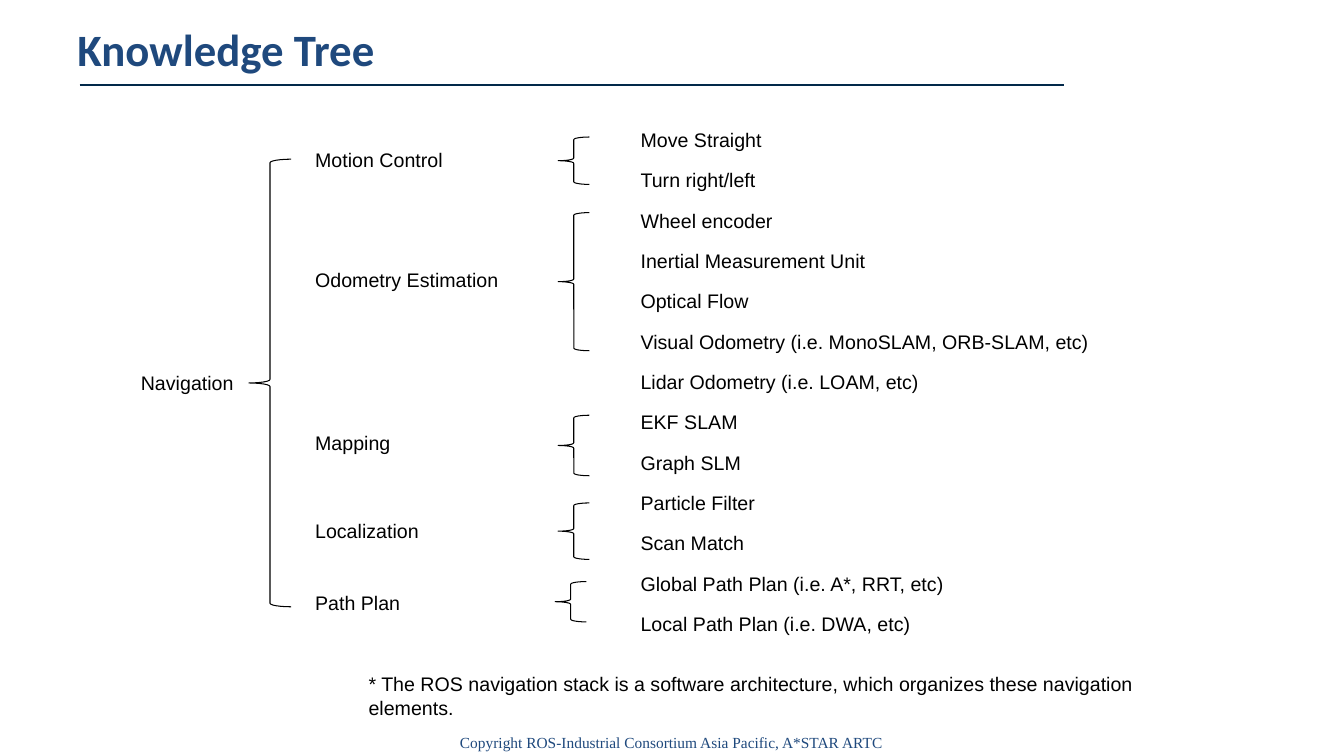
from pptx import Presentation
from pptx import util as u
from pptx.dml.color import RGBColor
from pptx.enum import shapes, text
from pptx.oxml.ns import qn
from lxml import etree

BLACK = RGBColor(0x00, 0x00, 0x00)
BLUE = RGBColor(0x1F, 0x49, 0x7D)
NAVY = RGBColor(0x02, 0x29, 0x4A)

TOPICS = [
    ("Motion Control", 1.42, 2.1),
    ("Odometry Estimation", 2.61, 2.1),
    ("Mapping", 4.23, 1.04),
    ("Localization", 5.1, 1.26),
    ("Path Plan", 5.81, 1.06),
]
METHODS = [
    "Move Straight",
    "Turn right/left",
    "Wheel encoder",
    "Inertial Measurement Unit",
    "Optical Flow",
    "Visual Odometry (i.e. MonoSLAM, ORB-SLAM, etc)",
    "Lidar Odometry (i.e. LOAM, etc)",
    "EKF SLAM",
    "Graph SLM",
    "Particle Filter",
    "Scan Match",
    "Global Path Plan (i.e. A*, RRT, etc)",
    "Local Path Plan (i.e. DWA, etc)",
]
BRACES = [
    (2.47, 1.58, 0.42, 4.44),
    (5.54, 1.36, 0.31, 0.47),
    (5.54, 2.11, 0.31, 1.37),
    (5.54, 4.12, 0.31, 0.6),
    (5.54, 4.99, 0.31, 0.56),
    (5.51, 5.77, 0.31, 0.4),
]
METHOD_TOP = 1.22
METHOD_STEP = 0.4
LABEL_HEIGHT = 0.33


def write_text(frame, content, size=14, font="Arial", color=BLACK, bold=False,
               align=text.PP_ALIGN.LEFT, spacing=1.0):
    paragraph = frame.paragraphs[0]
    paragraph.alignment = align
    paragraph.line_spacing = spacing
    run = paragraph.add_run()
    run.text = content
    run.font.size = u.Pt(size)
    run.font.name = font
    run.font.bold = bold
    run.font.color.rgb = color


class KnowledgeSlide:
    def __init__(self, slide, line_color=BLACK, line_width=0.75):
        self.slide = slide
        self.line_color = line_color
        self.line_width = line_width

    def label(self, content, left, top, width, height=LABEL_HEIGHT,
              anchor=text.MSO_ANCHOR.TOP, **style):
        box = self.slide.shapes.add_textbox(
            *map(u.Inches, (left, top, width, height)))
        box.text_frame.word_wrap = True
        box.text_frame.vertical_anchor = anchor
        write_text(box.text_frame, content, **style)

    def brace(self, left, top, width, height):
        shape = self.slide.shapes.add_shape(
            shapes.MSO_SHAPE.LEFT_BRACE,
            *map(u.Inches, (left, top, width, height)))
        shape.shadow.inherit = False
        shape.fill.background()
        shape.line.color.rgb = self.line_color
        shape.line.width = u.Pt(self.line_width)

    def rule(self, left, right, top, color, width):
        connector = self.slide.shapes.add_connector(
            shapes.MSO_CONNECTOR.STRAIGHT,
            *map(u.Inches, (left, top, right, top)))
        connector.line.color.rgb = color
        connector.line.width = u.Pt(width)
        properties = connector.element.find(qn("p:spPr"))
        etree.SubElement(properties, qn("a:effectLst"))


def main():
    presentation = Presentation()
    presentation.slide_width = u.Inches(13.34)
    presentation.slide_height = u.Inches(7.5)
    page = KnowledgeSlide(
        presentation.slides.add_slide(presentation.slide_layouts[6]))

    page.rule(0.79, 10.56, 0.84, NAVY, 1.5)
    page.label("Knowledge Tree", 0.67, 0.17, 10.22, 0.66,
               anchor=text.MSO_ANCHOR.MIDDLE, size=32, font="Calibri",
               color=BLUE, bold=True, spacing=0.98)

    page.label("Navigation", 1.3, 3.63, 1.17)
    for topic, top, width in TOPICS:
        page.label(topic, 3.03, top, width)
    for row, method in enumerate(METHODS):
        page.label(method, 6.26, METHOD_TOP + row * METHOD_STEP, 4.68)
    for brace in BRACES:
        page.brace(*brace)

    page.label("* The ROS navigation stack is a software architecture, "
               "which organizes these navigation elements.",
               3.56, 6.62, 8.6, 0.57)
    page.label("Copyright ROS-Industrial Consortium Asia Pacific, A*STAR ARTC",
               2.84, 7.21, 7.65, 0.29, size=11, font="Times New Roman",
               color=BLUE, align=text.PP_ALIGN.CENTER, spacing=1.07)
    presentation.save("out.pptx")


if __name__ == "__main__":
    main()
